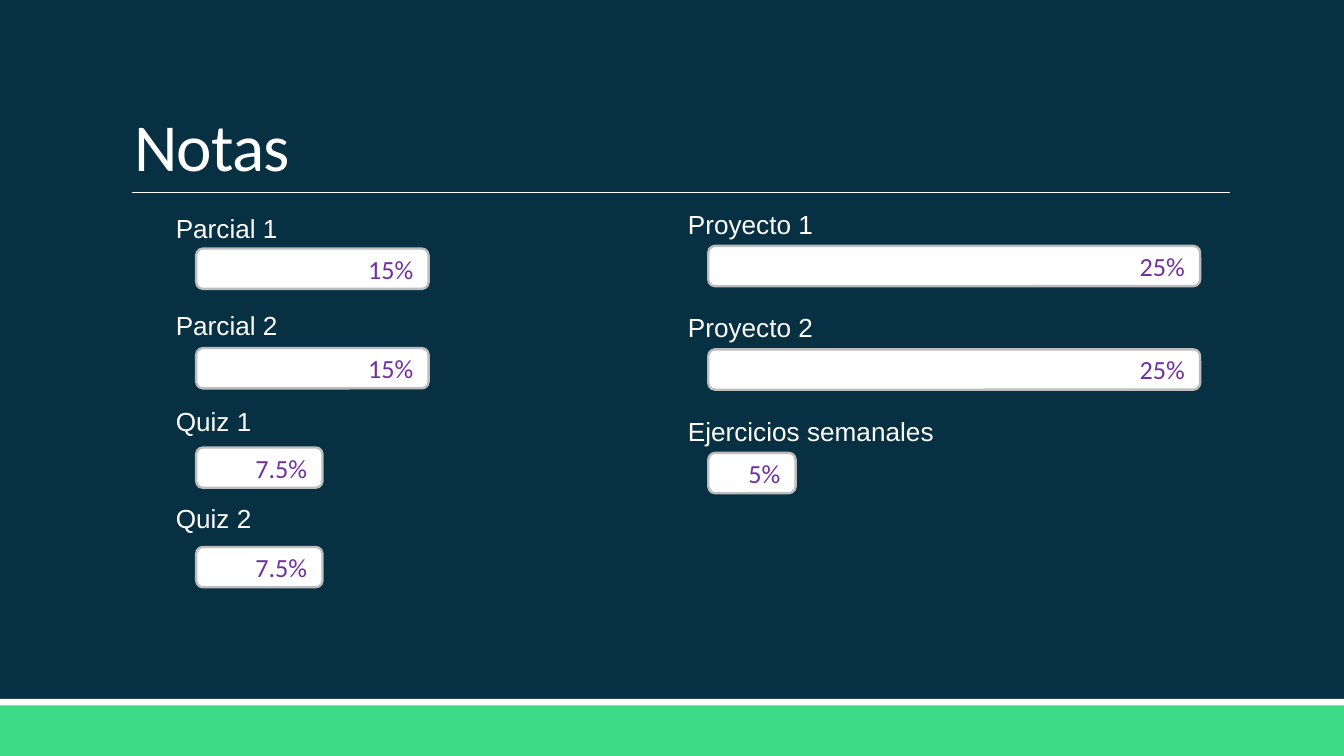
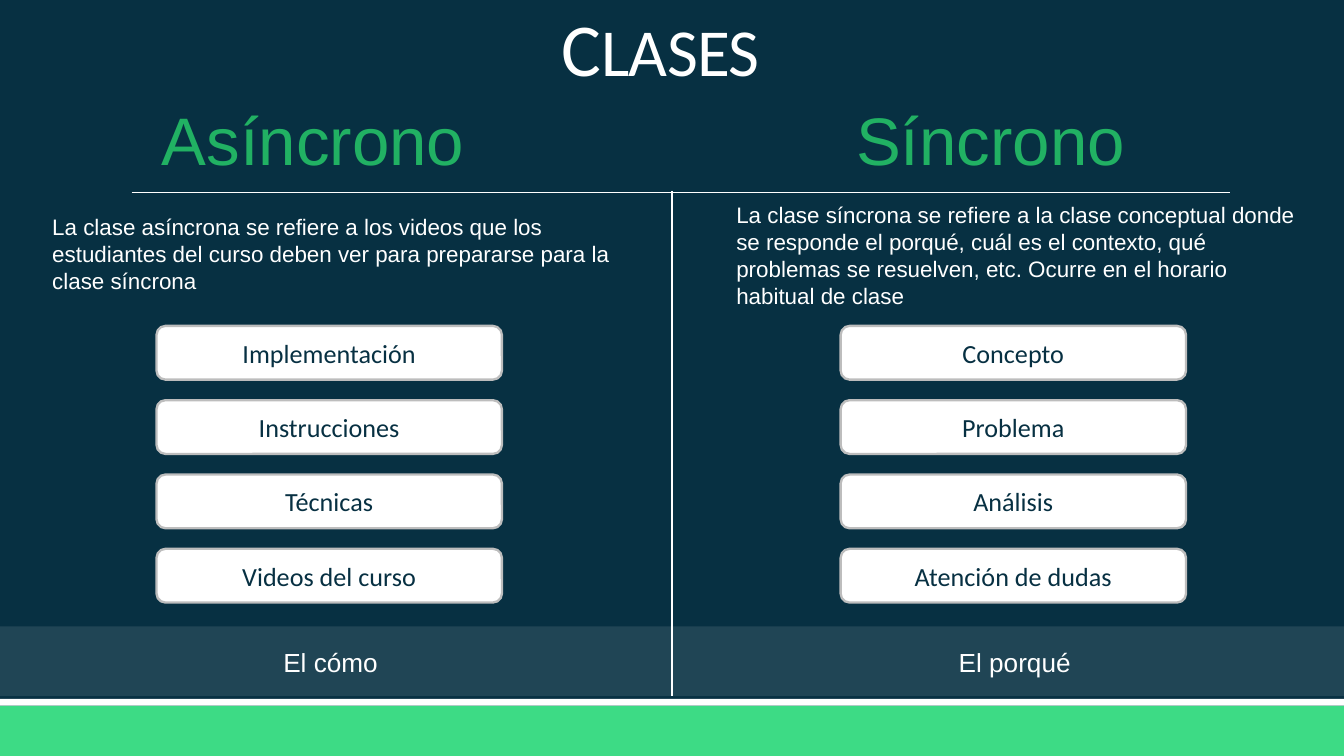
from dataclasses import dataclass

from lxml import etree
from pptx import Presentation
from pptx import util as u
from pptx.dml.color import RGBColor
from pptx.enum import shapes, text
from pptx.oxml import ns

LEFT, MID, RIGHT = text.PP_ALIGN.LEFT, text.PP_ALIGN.CENTER, text.PP_ALIGN.RIGHT
RECT = shapes.MSO_SHAPE.RECTANGLE
ROUND = shapes.MSO_SHAPE.ROUNDED_RECTANGLE
CELL = 0.1  # inches per grid column and row
COLS, ROWS = 100, 56.25


@dataclass(frozen=True)
class Theme:
    navy: str = "073042"
    green: str = "3DDB85"
    leaf: str = "21B163"
    white: str = "FFFFFF"
    grey: str = "BDBDBD"
    plum: str = "7030A0"
    head: str = "Calibri"
    body: str = "Arial"
    cap: int = 40
    big: int = 36
    base: int = 14
    small: int = 12


@dataclass(frozen=True)
class Box:
    """A region in grid columns and rows."""
    x: float
    y: float
    w: float
    h: float

    def sub(self, x, y, w, h):
        return Box(self.x + x, self.y + y, w, h)

    def emu(self):
        return [grid(n) for n in (self.x, self.y, self.w, self.h)]


T = Theme()
PAGE = Box(0, 0, COLS, ROWS)


def grid(n):
    return u.Inches(round(n * CELL, 3))


def rgb(code):
    return RGBColor.from_string(code)


def add_run(para, words, size, font, color):
    run = para.add_run()
    run.text = words
    run.font.size, run.font.name = u.Pt(size), font
    run.font.color.rgb = rgb(color)
    return run


def label(slide, box, words, size=T.base, color=T.white, align=LEFT):
    frame = slide.shapes.add_textbox(*box.emu()).text_frame
    frame.word_wrap = True
    frame.auto_size = text.MSO_AUTO_SIZE.SHAPE_TO_FIT_TEXT
    para = frame.paragraphs[0]
    para.alignment = align
    add_run(para, words, size, T.body, color)


def block(slide, box, color, kind=RECT):
    shape = slide.shapes.add_shape(kind, *box.emu())
    shape.shadow.inherit = False
    shape.fill.solid()
    shape.fill.fore_color.rgb = rgb(color)
    shape.line.fill.background()
    return shape


def pill(slide, box, words, color, align):
    shape = block(slide, box, T.white, ROUND)
    shape.line.color.rgb = rgb(T.grey)
    shape.line.width = u.Pt(1.25)
    frame = shape.text_frame
    frame.vertical_anchor = text.MSO_ANCHOR.MIDDLE
    para = frame.paragraphs[0]
    para.alignment = align
    add_run(para, words, T.base, T.head, color)


def rule(slide, x1, y1, x2, y2, width):
    ends = [grid(n) for n in (x1, y1, x2, y2)]
    line = slide.shapes.add_connector(shapes.MSO_CONNECTOR.STRAIGHT, *ends)
    line.line.color.rgb = rgb(T.white)
    line.line.width = u.Pt(width)
    etree.SubElement(line._element.spPr, ns.qn("a:effectLst"))
    return line


def title(slide, box, runs, align=LEFT):
    """Bottom-anchored heading; runs are (words, size) pairs."""
    frame = slide.shapes.add_textbox(*box.emu()).text_frame
    frame.word_wrap = True
    frame.vertical_anchor = text.MSO_ANCHOR.BOTTOM
    para = frame.paragraphs[0]
    para.alignment, para.line_spacing = align, 0.85
    for words, size in runs:
        run = add_run(para, words, size, T.head, T.white)
        run.font._element.set("spc", "-40")


def base(deck):
    """Add a slide with the shared background, footer and title rule."""
    slide = deck.slides.add_slide(deck.slide_layouts[6])
    fill = slide.background.fill
    fill.solid()
    fill.fore_color.rgb = rgb(T.navy)
    block(slide, PAGE.sub(0, 52.5, COLS, 3.75), T.green)
    block(slide, PAGE.sub(0, 52, COLS, 0.5), T.white)
    rule(slide, 9.8, 14.3, 91.5, 14.3, 0.5)
    return slide


def grades(slide, box, items, drop, step, gap):
    """Stack labelled bars; drop is the first bar's offset, step and gap the
    pitch of the labels and the bars."""
    for i, (name, share, width) in enumerate(items):
        label(slide, box.sub(0, i * step, box.w, 3.4), name)
        bar = box.sub(2.5, drop + i * gap, width, 3)
        pill(slide, bar, share, T.plum, RIGHT)


def marks(deck):
    slide = base(deck)
    title(slide, PAGE.sub(9, 2.4, 82.5, 11.9), [("Notas", T.big)])
    grades(slide, PAGE.sub(12.1, 15.3, 17.3, 29), [
        ("Parcial 1", "15%", 17.3), ("Parcial 2", "15%", 17.3),
        ("Quiz 1", "7.5%", 9.4), ("Quiz 2", "7.5%", 9.4)], 3.2, 7.2, 7.4)
    grades(slide, PAGE.sub(50.2, 15, 24, 19), [
        ("Proyecto 1", "25%", 36.6), ("Proyecto 2", "25%", 36.6),
        ("Ejercicios semanales", "5%", 6.5)], 3.3, 7.7, 7.7)


def mode(slide, box, head, about, rise, topics, foot, shift):
    """One half of the comparison; rise and shift place the text and head."""
    label(slide, box.sub(shift, 0, 30, 7.1), head, T.big, T.leaf, MID)
    label(slide, box.sub(0, rise, box.w, 7.1), about, T.small)
    for i, topic in enumerate(topics):
        part = box.sub(8.75, 17.45 + 5.53 * i, 25.7, 4)
        pill(slide, part, topic, T.navy, MID)
    label(slide, box.sub(9.6, 40.8, 24.2, 3.4), foot, align=MID)


def classes(deck):
    slide = base(deck)
    band = block(slide, PAGE.sub(0, 46.6, COLS, 5.2), T.white)
    tint = band.fill._xPr.find(".//" + ns.qn("a:srgbClr"))
    etree.SubElement(tint, ns.qn("a:alpha"), val="10000")
    title(slide, PAGE.sub(3.4, 0.6, 91.5, 6.7),
          [("C", T.cap), ("LASES", T.big)], MID)
    mode(slide, PAGE.sub(2.9, 6.8, 44.2, 45), "Asíncrono",
         "La clase asíncrona se refiere a los videos que los estudiantes del "
         "curso deben ver para prepararse para la clase síncrona", 8.6,
         ["Implementación", "Instrucciones", "Técnicas", "Videos del curso"],
         "El cómo", 5.4)
    mode(slide, PAGE.sub(53.8, 6.8, 44.2, 45), "Síncrono",
         "La clase síncrona se refiere a la clase conceptual donde se responde "
         "el porqué, cuál es el contexto, qué problemas se resuelven, etc. "
         "Ocurre en el horario habitual de clase", 7.7,
         ["Concepto", "Problema", "Análisis", "Atención de dudas"],
         "El porqué", 4.9)
    rule(slide, 50, 14.2, 50, 51.8, 1).end_connect(band, 2)


def main():
    deck = Presentation()
    deck.slide_width, deck.slide_height = grid(COLS), grid(ROWS)
    marks(deck)
    classes(deck)
    deck.save("out.pptx")


if __name__ == "__main__":
    main()
